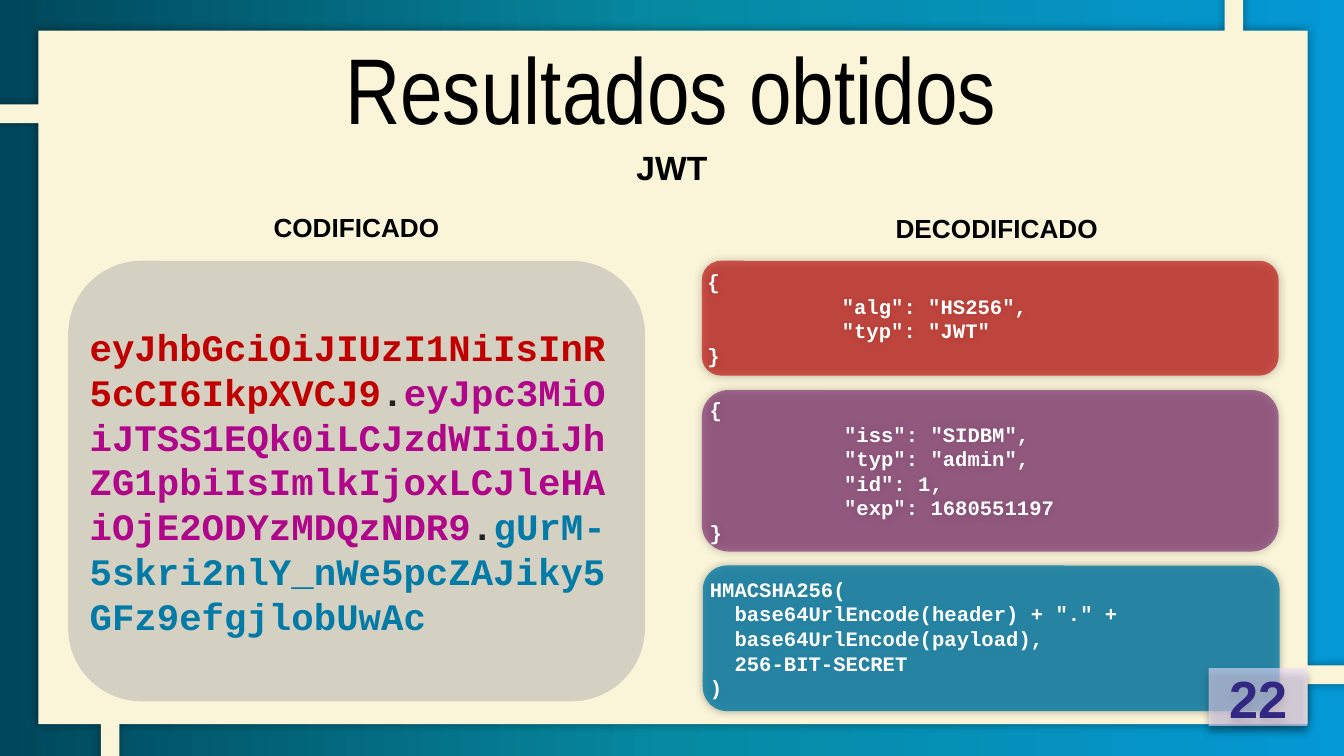
"""Build the slide that shows an encoded JWT beside its decoded parts."""
from copy import deepcopy

from pptx import Presentation
from pptx.dml.color import RGBColor
from pptx.enum.shapes import MSO_SHAPE as SHAPE
from pptx.enum.text import MSO_ANCHOR as ANCHOR, MSO_AUTO_SIZE as AUTO, PP_ALIGN as ALIGN
from pptx.oxml import parse_xml
from pptx.oxml.ns import nsdecls, qn
from pptx.util import Pt

BLACK = RGBColor(0x00, 0x00, 0x00)
WHITE = RGBColor(0xFF, 0xFF, 0xFF)
CREAM = RGBColor(0xFA, 0xF5, 0xD9)
RED = RGBColor(0xC0, 0x00, 0x00)
PLUM = RGBColor(0x6B, 0x06, 0x5D)
MAGENTA = RGBColor(0xB0, 0x06, 0x8A)
BLUE = RGBColor(0x04, 0x7A, 0xA7)
GREY = RGBColor(0xA6, 0xA6, 0xA6)
INK = RGBColor(0x21, 0x21, 0x21)
LILAC = RGBColor(0xEA, 0xDE, 0xFD)
INDIGO = RGBColor(0x32, 0x28, 0x83)
GRADIENT = [(0, RGBColor(0x00, 0x47, 0x5B)), (0.5, RGBColor(0x06, 0x8A, 0xA2)),
            (1, RGBColor(0x04, 0x98, 0xD5))]

TITLE = {"size": Pt(50), "name": "Arial Narrow"}
SUBTITLE = {"size": Pt(18), "name": "Arial", "bold": True}
HEADING = {**SUBTITLE, "size": Pt(14)}
NUMBER = {**SUBTITLE, "size": Pt(28)}
CODE = {"size": Pt(11), "name": "Courier New", "bold": True}
TOKEN = {**CODE, "size": Pt(20)}

FRAME = [(656, -26), (666, -26), (666, 16.5), (700.5, 16.5), (700.5, 356.5),
         (742, 356.5), (742, 366.5), (700.5, 366.5), (700.5, 388), (64, 388),
         (64, 427.5), (54, 427.5), (54, 388), (20.5, 388), (20.5, 66),
         (-23.5, 66), (-23.5, 56), (20.5, 56), (20.5, 16.5), (656, 16.5)]

TOKEN_RUNS = [
    ("eyJhbGciOiJIUzI1NiIsInR5cCI6IkpXVCJ9", RED),
    (".", INK),
    ("eyJpc3MiOiJTSS1EQk0iLCJzdWIiOiJhZG1pbiIsImlkIjoxLCJleHAiOjE2ODYzMDQzNDR9", MAGENTA),
    (".", INK),
    ("gUrM-5skri2nlY_nWe5pcZAJiky5GFz9efgjlobUwAc", BLUE),
]

DECODED = [
    ((376, 139.75, 309, 61.5), RED, 62, 72,
     ["{", '"alg": "HS256",', '"typ": "JWT"', "}"]),
    ((376, 209, 309, 86.5), PLUM, 55, 72,
     ["{", '"iss": "SIDBM",', '"typ": "admin",', '"id": 1,', '"exp": 1680551197', "}"]),
    ((376.5, 303, 309, 78), BLUE, 79, 13.2,
     ["HMACSHA256(", 'base64UrlEncode(header) + "." +', "base64UrlEncode(payload),",
      "256-BIT-SECRET", ")"]),
]


def set_attrs(obj, values):
    """Set every attribute in a dict of format values."""
    for name, value in values.items():
        setattr(obj, name, value)


def paint_background(slide):
    """Fill the slide with the left-to-right gradient."""
    fill = slide.background.fill
    fill.gradient()
    fill.gradient_angle = 0
    stops = slide._element.find(".//" + qn("a:gsLst"))
    stops.append(deepcopy(stops[0]))
    for stop, (position, color) in zip(fill.gradient_stops, GRADIENT):
        stop.position = position
        stop.color.rgb = color


def style_shape(sp, color, opacity=100, shadow=None):
    """Give a shape a plain fill, no line and an optional soft shadow."""
    sp.fill.solid()
    sp.fill.fore_color.rgb = color
    sp.line.fill.background()
    sp.shadow.inherit = False
    if opacity < 100:
        clr = sp._element.spPr.find(".//" + qn("a:srgbClr"))
        clr.append(parse_xml(f'<a:alpha {nsdecls("a")} val="{opacity * 1000}"/>'))
    if shadow:
        alpha, blur, dist, angle = shadow
        sp._element.spPr.find(qn("a:effectLst")).append(parse_xml(
            f'<a:outerShdw {nsdecls("a")} blurRad="{Pt(blur)}" dist="{Pt(dist)}" '
            f'dir="{angle * 60000}" algn="ctr" rotWithShape="0"><a:srgbClr val="000000">'
            f'<a:alpha val="{alpha * 1000}"/></a:srgbClr></a:outerShdw>'))


def set_frame(tf, inset):
    """Wrap and centre the text vertically with equal insets."""
    set_attrs(tf, {"word_wrap": True, "vertical_anchor": ANCHOR.MIDDLE,
                   **{f"margin_{side}": Pt(inset)
                      for side in ("left", "right", "top", "bottom")}})


def write(p, runs, font, align):
    """Write coloured runs in one paragraph."""
    p.alignment = align
    for text, color in runs:
        r = p.add_run()
        r.text = text
        set_attrs(r.font, font)
        r.font.color.rgb = color


def add_frame(slide):
    """Draw the cream panel with its four arms."""
    points = [(Pt(x), Pt(y)) for x, y in FRAME]
    builder = slide.shapes.build_freeform(*points[0])
    builder.add_line_segments(points[1:], close=True)
    style_shape(builder.convert_to_shape(), CREAM, shadow=(40, 5, 0, 0))


def add_label(slide, box, text, font):
    """Add a centred text box and return its text frame."""
    tf = slide.shapes.add_textbox(*map(Pt, box)).text_frame
    set_attrs(tf, {"word_wrap": True, "auto_size": AUTO.SHAPE_TO_FIT_TEXT})
    write(tf.paragraphs[0], [(text, BLACK)], font, ALIGN.CENTER)
    return tf


def add_panel(slide, kind, box, color, opacity, shadow=None, inset=0):
    """Add a translucent panel and return its text frame."""
    sp = slide.shapes.add_shape(kind, *map(Pt, box))
    style_shape(sp, color, opacity, shadow)
    set_frame(sp.text_frame, inset)
    return sp.text_frame


def add_code(slide, box, color, opacity, indent, lines):
    """Add a code panel whose inner lines are indented."""
    tf = add_panel(slide, SHAPE.ROUNDED_RECTANGLE, box, color, opacity, (40, 5, 0, 0))
    for i, line in enumerate(lines):
        p = tf.add_paragraph() if i else tf.paragraphs[0]
        write(p, [(line, WHITE)], CODE, ALIGN.LEFT)
        if 0 < i < len(lines) - 1:
            p._p.get_or_add_pPr().set("marL", str(Pt(indent)))


def main():
    """Build and save the slide."""
    prs = Presentation()
    set_attrs(prs, {"slide_width": Pt(720), "slide_height": Pt(405)})
    slide = prs.slides.add_slide(prs.slide_layouts[6])
    paint_background(slide)
    add_frame(slide)

    title = add_label(slide, (77, 31.5, 565, 30), "Resultados obtidos", TITLE)
    title.auto_size = AUTO.NONE
    set_frame(title, 7.2)
    add_label(slide, (270, 75, 180, 29), "JWT", SUBTITLE)

    for panel in DECODED:
        add_code(slide, *panel)

    tf = add_panel(slide, SHAPE.ROUNDED_RECTANGLE, (36.5, 139.75, 309, 236), GREY, 45)
    write(tf.paragraphs[0], TOKEN_RUNS, TOKEN, ALIGN.JUSTIFY)

    add_label(slide, (57.5, 109.5, 267, 24.5), "CODIFICADO", HEADING)
    add_label(slide, (400.5, 110, 267, 24.5), "DECODIFICADO", HEADING)

    tf = add_panel(slide, SHAPE.RECTANGLE, (647.5, 358, 53, 31), LILAC, 60,
                   (52, 4, 3, 90), 7.2)
    write(tf.paragraphs[0], [("22", INDIGO)], NUMBER, ALIGN.CENTER)
    prs.save("out.pptx")


if __name__ == "__main__":
    main()
